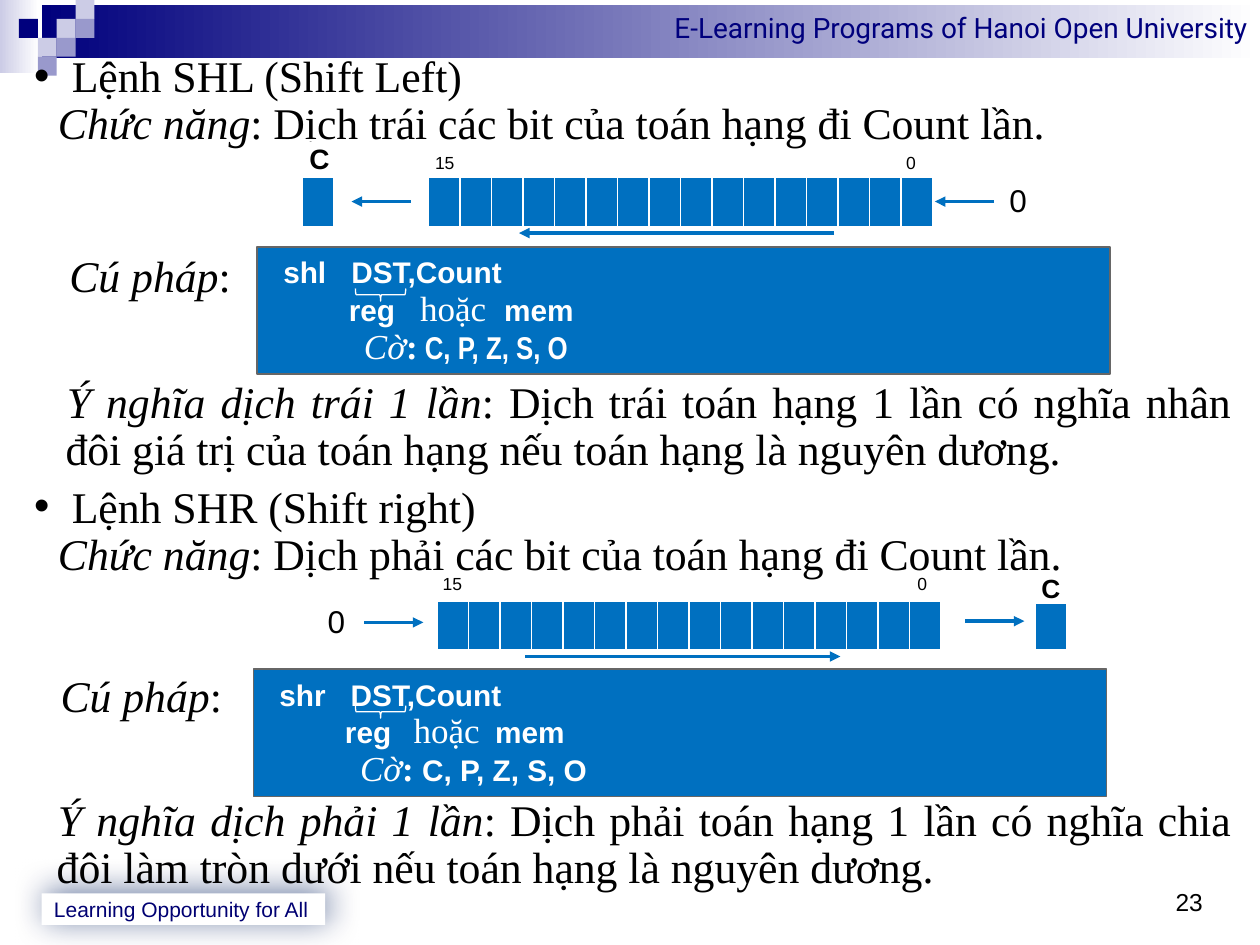
from lxml.etree import SubElement, fromstring
from pptx import Presentation
from pptx.dml.color import RGBColor
from pptx.enum.shapes import MSO_CONNECTOR, MSO_SHAPE
from pptx.enum.text import MSO_ANCHOR, MSO_AUTO_SIZE, PP_ALIGN
from pptx.oxml.ns import qn
from pptx.util import Inches, Pt

RECT, BRACE = MSO_SHAPE.RECTANGLE, MSO_SHAPE.RIGHT_BRACE
LINE = MSO_CONNECTOR.STRAIGHT
LEFT, MID, RIGHT, FULL = PP_ALIGN.LEFT, PP_ALIGN.CENTER, PP_ALIGN.RIGHT, PP_ALIGN.JUSTIFY
NS = "http://schemas.openxmlformats.org/drawingml/2006/main"
HEX = {"white": "FFFFFF", "black": "000000", "blue": "0070C0", "grey": "666666",
       "navy": "00007D", "pale": "CCCCE6", "lilac": "9999CC", "ink": "000072"}
STEP = 0.25

BODY = {"name": "Times New Roman", "size": 25, "color": "black"}
CODE = {"name": "Arial", "size": 17, "bold": True, "color": "white"}
SERIF = {"name": "Times New Roman", "size": 20, "color": "white"}
NARROW = {**CODE, "name": "Arial Narrow", "size": 18}
LABEL = {"name": "Arial", "color": "black"}

LINES = [
    (0.3, -0.3, 0, 27, "", "Lệnh SHL (Shift Left)"),
    (0.18, 0.01, 0, 27, "Chức năng", ": Dịch trái các bit của toán hạng đi Count lần."),
    (0.18, 0.1, 60, 27, "Cú pháp", ":"),
    (0.25, 0.01, 45, 27, "Ý nghĩa dịch trái 1 lần",
     ": Dịch trái toán hạng 1 lần có nghĩa nhân đôi giá trị của toán hạng nếu toán hạng là nguyên dương."),
    (0.3, -0.3, 3, None, "", "Lệnh SHR (Shift right)"),
    (0.18, 0.01, 0, 27, "Chức năng", ": Dịch phải các bit của toán hạng đi Count lần."),
    (0.19, 0.02, 54, 27, "Cú pháp", ":"),
    (0.18, 0.01, 44, 27, "Ý nghĩa dịch phải 1 lần",
     ": Dịch phải toán hạng 1 lần có nghĩa chia đôi làm tròn dưới nếu toán hạng là nguyên dương."),
]
SHL = {"first": 4, "carry": 0,
       "labels": [("C", 16, 0.01, -0.28, 0.25, 0.25), ("15", 10, 0.93, -0.22, 0.4, 0.2),
                  ("0", 10, 4.73, -0.22, 0.2, 0.2), ("0", 18, 5.48, -0.02, 0.4, 0.4)],
       "arrows": [(5.49, 5.02, 0.19), (4.22, 1.72, 0.44), (0.86, 0.39, 0.19)]}
SHR = {"first": 0, "carry": 19,
       "labels": [("15", 10, -0.03, -0.22, 0.3, 0.17), ("0", 10, 3.75, -0.22, 0.2, 0.17),
                  ("C", 15, 4.75, -0.23, 0.24, 0.25), ("0", 18, -1, -0.04, 0.4, 0.4)],
       "arrows": [(4.19, 4.66, 0.16), (0.7, 3.2, 0.44), (-0.58, -0.11, 0.17)]}


def rgb(key):
    """Give the named colour."""
    return RGBColor.from_string(HEX[key])


def add_run(para, text, form, gap=0):
    """Add a run with the given font values and letter spacing."""
    run = para.add_run()
    run.text = text
    for key, value in form.items():
        if key == "color":
            run.font.color.rgb = rgb(value)
        else:
            setattr(run.font, key, Pt(value) if key == "size" else value)
    if gap:
        run._r.get_or_add_rPr().set("spc", str(round(gap * 100)))


def set_para(para, form, margin=0, indent=0, bullet=None):
    """Set the indents, bullet and spacing of a paragraph."""
    props = para._p.get_or_add_pPr()
    props.set("marL", str(Inches(margin)))
    props.set("indent", str(Inches(indent)))
    if bullet:
        SubElement(props, qn("a:buChar"), char=bullet)
    else:
        SubElement(props, qn("a:buNone"))
    for key, value in form.items():
        setattr(para, key, value)


def add_box(slide, box, fill=None, line=None, kind=RECT):
    """Add a shape with plain fill and line."""
    shape = slide.shapes.add_shape(kind, *map(Inches, box))
    shape.shadow.inherit = False
    if fill:
        shape.fill.solid()
        shape.fill.fore_color.rgb = rgb(fill)
    else:
        shape.fill.background()
    if line:
        shape.line.color.rgb = rgb(line)
        shape.line.width = Pt(0.75)
    else:
        shape.line.fill.background()
    return shape


def add_text(shape, text, form, align, inset=0.0):
    """Put one line of text in a shape."""
    frame = shape.text_frame
    frame.word_wrap = True
    frame.vertical_anchor = MSO_ANCHOR.MIDDLE
    for side in ("left", "right", "top", "bottom"):
        setattr(frame, "margin_" + side, Inches(inset))
    frame.paragraphs[0].alignment = align
    add_run(frame.paragraphs[0], text, form)


def add_fade(slide, box, start):
    """Add a bar that fades to white."""
    bar = add_box(slide, box)
    bar.fill.gradient()
    bar.fill.gradient_angle = 0
    for stop, key in zip(bar.fill.gradient_stops, (start, "white")):
        stop.color.rgb = rgb(key)
    return bar


def add_head(slide, x, y):
    """Place the top band and its squares."""
    add_fade(slide, (x, y, 0.31, 0.58), "pale")
    bar = add_fade(slide, (x + 0.33, y + 0.04, 9.67, 0.42), "navy")
    add_text(bar, "E-Learning Programs of Hanoi Open University",
             {"name": "Roboto", "size": 16, "color": "navy"}, RIGHT, 0.1)
    bar.text_frame.margin_top, bar.text_frame.margin_bottom = Inches(0.04), Inches(0.1)
    side = 0.15
    for col, row, key in [(3, 1, "pale"), (4, 0, "pale"), (4, 1, "lilac"), (2, 2, "pale"),
                          (1, 1, "navy"), (3, 2, "lilac"), (2, 3, "lilac")]:
        add_box(slide, (x + col * side, y + row * side, side, side), key)


def add_foot(slide, x, y):
    """Place the motto with its shadow and the page number."""
    motto = add_box(slide, (x, y, 2.25, 0.25), "white")
    add_text(motto, "Learning Opportunity for All",
             {"name": "Arial", "size": 12, "color": "ink"}, LEFT, 0.1)
    glow = fromstring(
        f'<a:outerShdw xmlns:a="{NS}" blurRad="{Pt(19)}" dist="{Pt(3)}" dir="18900000">'
        '<a:srgbClr val="002060"><a:alpha val="56000"/></a:srgbClr></a:outerShdw>')
    motto._element.spPr.find(qn("a:effectLst")).append(glow)
    page = slide.shapes.add_textbox(*map(Inches, (x + 9, y - 0.08, 0.3, 0.3)))
    add_text(page, "23", {**LABEL, "size": 14}, LEFT)


def add_body(body, box):
    """Fill the body placeholder and bring it forward."""
    body.left, body.top, body.width, body.height = map(Inches, box)
    frame = body.text_frame
    frame.auto_size = MSO_AUTO_SIZE.NONE
    for i, (margin, indent, before, pitch, lead, rest) in enumerate(LINES):
        para = frame.add_paragraph() if i else frame.paragraphs[0]
        form = {"alignment": FULL, "space_before": Pt(before),
                "line_spacing": Pt(pitch) if pitch else 1.0}
        set_para(para, form, margin, indent, None if lead else "•")
        if lead:
            add_run(para, lead, {**BODY, "italic": True})
        add_run(para, rest, BODY)
    body.element.getparent().append(body.element)


def add_bits(slide, x, y, plan):
    """Place a register with its carry bit, labels and arrows."""
    table = slide.shapes.add_table(1, 20, Inches(x), Inches(y), Inches(20 * STEP), Inches(0.4)).table
    table.first_row = table.horz_banding = False
    for i, cell in enumerate(table.rows[0].cells):
        table.columns[i].width = Inches(STEP)
        cell.margin_left = cell.margin_right = cell.margin_top = cell.margin_bottom = 0
        cell.text_frame.paragraphs[0].font.size = Pt(10)
        if i == plan["carry"] or 0 <= i - plan["first"] < 16:
            cell.fill.solid()
            cell.fill.fore_color.rgb = rgb("blue")
        else:
            cell.fill.background()
        for j, (side, width) in enumerate((("L", 1), ("R", 1), ("T", 1), ("B", 3))):
            edge = fromstring(
                f'<a:ln{side} xmlns:a="{NS}" w="{Pt(width)}"><a:solidFill>'
                f'<a:srgbClr val="{HEX["white"]}"/></a:solidFill></a:ln{side}>')
            cell._tc.get_or_add_tcPr().insert(j, edge)
    for text, size, left, top, wide, high in plan["labels"]:
        label = add_box(slide, (x + left, y + top, wide, high), "white", "white")
        add_text(label, text, {**LABEL, "size": size, "bold": text == "C"}, MID)
    for start, end, drop in plan["arrows"]:
        arrow = slide.shapes.add_connector(LINE, *map(Inches, (x + start, y + drop, x + end, y + drop)))
        arrow.line.color.rgb = rgb("blue")
        arrow.line.width = Pt(2)
        SubElement(arrow.line._get_or_add_ln(), qn("a:tailEnd"), type="triangle")
        SubElement(arrow._element.spPr, qn("a:effectLst"))


def add_code(slide, box, word, flags, brace, gaps):
    """Place a syntax panel with its brace."""
    frame = add_box(slide, box, "blue", "grey").text_frame
    frame.word_wrap = True
    frame.vertical_anchor = MSO_ANCHOR.TOP
    rows = [(21, 0.11, [(word, CODE), (" ", CODE, gaps[0]), ("DST,Count", CODE)]),
            (22, 0.63, [("reg", CODE), (" ", CODE, gaps[1]), ("hoặc", SERIF),
                        (" ", CODE, gaps[2]), ("mem", CODE)]),
            (22, 0.75, [("Cờ", {**SERIF, "italic": True}),
                        (":", {**SERIF, "bold": True}), (" C, P, Z, S, O", flags)])]
    for i, (pitch, indent, runs) in enumerate(rows):
        para = frame.add_paragraph() if i else frame.paragraphs[0]
        set_para(para, {"alignment": LEFT, "line_spacing": Pt(pitch)}, 0, indent)
        for run in runs:
            add_run(para, *run)
    mark = add_box(slide, (2.97, box[1] + brace, 0.1, 0.4), None, "white", BRACE)
    mark.rotation = 90


def main():
    """Build the slide and save it."""
    deck = Presentation()
    deck.slide_width, deck.slide_height = Inches(10), Inches(7.5)
    slide = deck.slides.add_slide(deck.slide_layouts[1])
    title = slide.shapes.title.element
    title.getparent().remove(title)
    add_head(slide, 0, 0)
    add_foot(slide, 0.33, 7.09)
    add_body(slide.placeholders[1], (0.17, 0.38, 9.7, 6.82))
    add_code(slide, (2.04, 1.96, 6.77, 1.01), "shl", NARROW, 0.18, (9.5, 9.5, 5.5))
    add_bits(slide, 2.4, 1.41, SHL)
    add_bits(slide, 3.47, 4.77, SHR)
    add_code(slide, (2.01, 5.31, 6.77, 1.01), "shr", CODE, 0.14, (9.5, 8, 4))
    deck.save("out.pptx")


if __name__ == "__main__":
    main()
